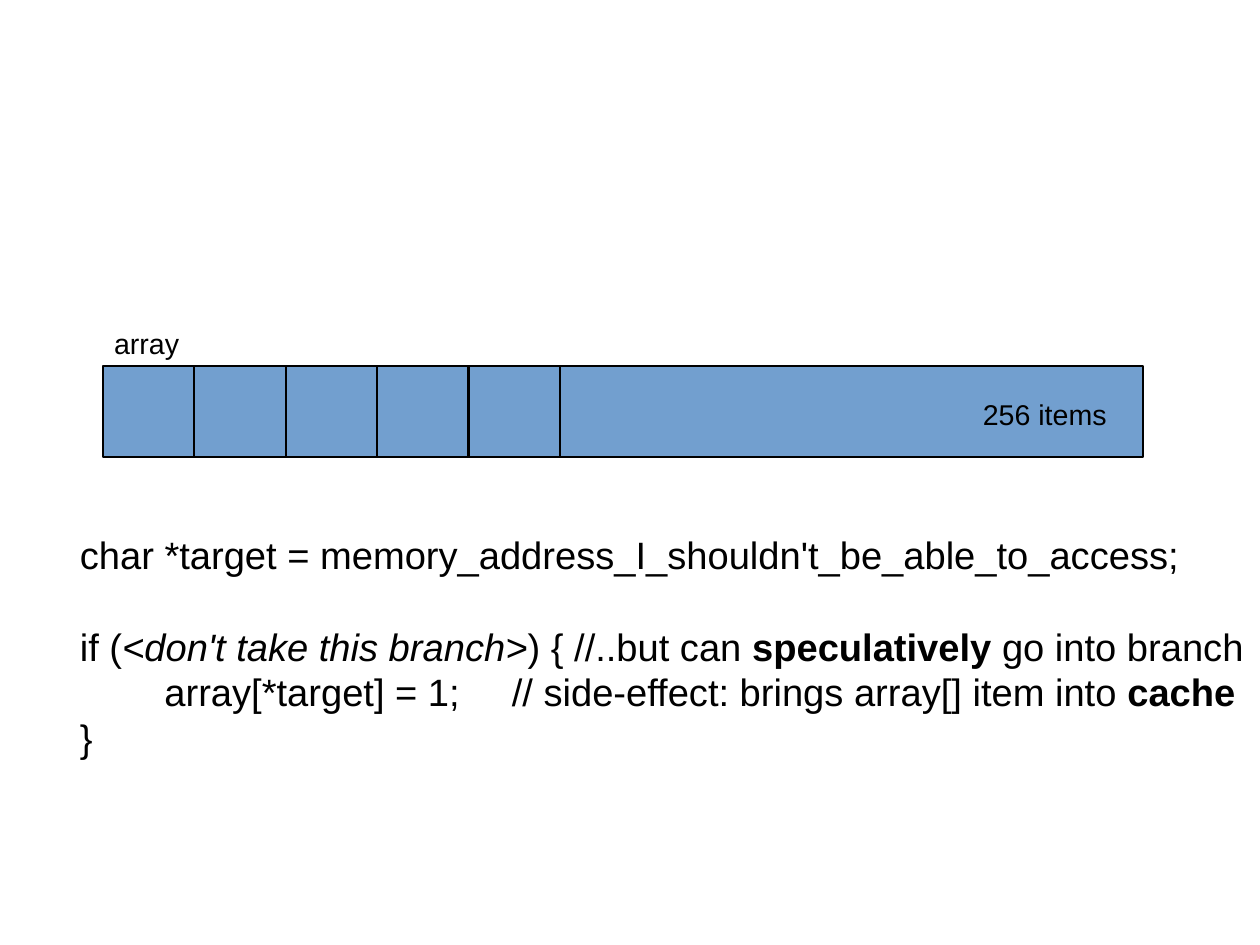
from pptx import Presentation
from pptx import util as u
from pptx.dml.color import RGBColor
from pptx.enum import shapes, text
from pptx.oxml.ns import qn
from lxml import etree

LEFT, TOP, WIDE, CELL = 0.9, 3.2, 9.1, 0.8
BLACK, BLUE = "000000", "729FCF"

# Each code line is a list of (words, style) parts
CODE = [
    [("char *target = memory_address_I_shouldn't_be_able_to_access;", "")],
    [("if (", ""), ("<don't take this branch>", "i"),
     (") { //..but can ", ""), ("speculatively", "b"), (" go into branch", "")],
    [("\tarray[*target] = 1;\t// side-effect: brings array[] item into ", ""),
     ("cache", "b")],
    [("}", "")],
]
STOPS = (0.74, 3.78)


def color(code):
    return RGBColor.from_string(code)


def outline(item):
    item.line.color.rgb = color(BLACK)
    item.line.width = u.Pt(1.45)


def add_bar(slide, x, y, w, h):
    bar = slide.shapes.add_shape(
        shapes.MSO_SHAPE.RECTANGLE, *map(u.Inches, (x, y, w, h)))
    bar.shadow.inherit = False
    bar.fill.solid()
    bar.fill.fore_color.rgb = color(BLUE)
    outline(bar)


def add_rule(slide, x, top, end):
    rule = slide.shapes.add_connector(
        shapes.MSO_CONNECTOR.STRAIGHT, *map(u.Inches, (x, top, x, end)))
    outline(rule)
    etree.SubElement(rule._element.spPr, qn("a:effectLst"))


def add_box(slide, x, y, w, h, wrap=True):
    box = slide.shapes.add_textbox(*map(u.Inches, (x, y, w, h)))
    frame = box.text_frame
    frame.word_wrap = wrap
    frame.auto_size = text.MSO_AUTO_SIZE.SHAPE_TO_FIT_TEXT
    return frame


def style(run, size, kind=""):
    font = run.font
    font.name = "Arial"
    font.size = u.Pt(size)
    font.color.rgb = color(BLACK)
    font.bold = kind == "b"
    font.italic = kind == "i"


def add_label(slide, words, x, y, w, wrap=True):
    frame = add_box(slide, x, y, w, 0.38, wrap)
    frame.text = words
    style(frame.paragraphs[0].runs[0], 18)


def set_tabs(para, stops):
    tabs = etree.SubElement(para._p.get_or_add_pPr(), qn("a:tabLst"))
    for stop in stops:
        etree.SubElement(tabs, qn("a:tab"), pos=str(u.Inches(stop)), algn="l")


def add_code(slide, lines, x, y, w, h):
    frame = add_box(slide, x, y, w, h)
    for n, line in enumerate(lines):
        para = frame.add_paragraph() if n else frame.paragraphs[0]
        for words, kind in line:
            run = para.add_run()
            run.text = words
            style(run, 24, kind)
        if "\t" in line[0][0]:
            set_tabs(para, STOPS)
    # Gap between the declaration and the branch
    frame.paragraphs[0].space_after = u.Pt(29)


def main():
    deck = Presentation()
    # Page of 28 by 21 cm, without the preset 4:3 type
    deck.slide_width, deck.slide_height = u.Inches(28 / 2.54), u.Inches(21 / 2.54)
    deck.element.find(qn("p:sldSz")).attrib.pop("type", None)
    slide = deck.slides.add_slide(deck.slide_layouts[6])

    # Array with its first five cells
    add_bar(slide, LEFT, TOP, WIDE, CELL)
    add_label(slide, "256 items", 8.5, 3.42, 1.3, wrap=False)
    for n in range(1, 6):
        add_rule(slide, LEFT + n * CELL, TOP, TOP + CELL)
    add_label(slide, "array", LEFT, 2.8, 1.3)

    # Code below the array
    add_code(slide, CODE, 0.6, 4.6, 10.42, 3.1)
    deck.save("out.pptx")


if __name__ == "__main__":
    main()
